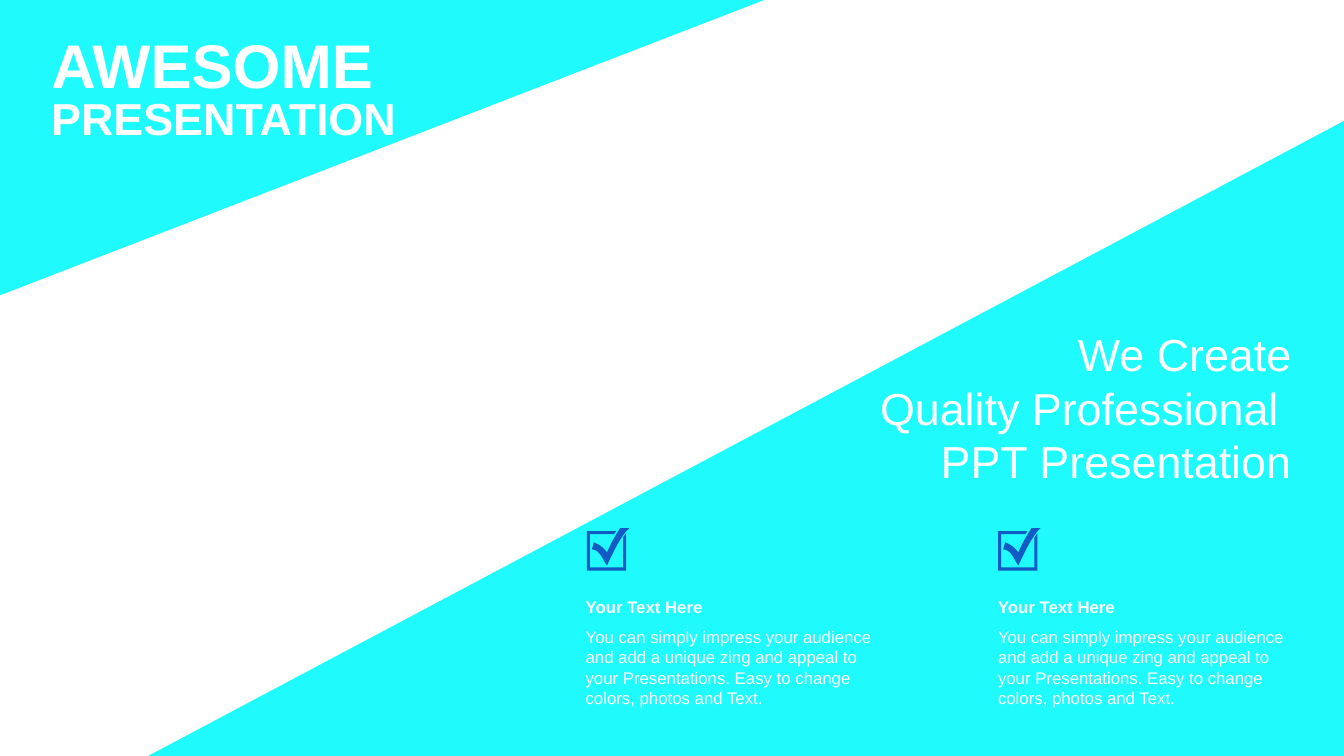
from pptx import Presentation
from pptx.dml.color import RGBColor
from pptx.enum import text
from pptx.util import Inches, Pt

CYAN = RGBColor(0x1F, 0xFB, 0xFD)
BLUE = RGBColor(0x12, 0x5A, 0xC4)
WHITE = RGBColor(0xFF, 0xFF, 0xFF)
ALIGN = text.PP_ALIGN
MIDDLE = text.MSO_ANCHOR.MIDDLE
TOP = text.MSO_ANCHOR.TOP

deck = Presentation()
deck.slide_width, deck.slide_height = Inches(13.33), Inches(7.5)
page = deck.slides.add_slide(deck.slide_layouts[5])


def draw_outline(contours, color, left=0, top=0):
    """Fill closed contours; six-number entries are cubic curves."""
    builder = None
    for contour in contours:
        points = [contour[0]]
        for step in contour[1:]:
            if len(step) == 2:
                points.append(step)
                continue
            ends = [points[-1], step[:2], step[2:4], step[4:]]
            for i in range(1, 9):
                t = i / 8
                weights = ((1 - t) ** 3, 3 * t * (1 - t) ** 2, 3 * t * t * (1 - t), t ** 3)
                points.append([sum(w * end[axis] for w, end in zip(weights, ends))
                               for axis in (0, 1)])
        corners = [(Inches(left + x), Inches(top + y)) for x, y in points]
        if builder is None:
            builder = page.shapes.build_freeform(*corners[0])
        else:
            builder.move_to(*corners[0])
        builder.add_line_segments(corners[1:], close=True)
    shape = builder.convert_to_shape()
    shape.shadow.inherit = False
    shape.fill.solid()
    shape.fill.fore_color.rgb = color
    shape.line.fill.background()


def write(box, place, lines, size, bold=False, align=ALIGN.LEFT, anchor=TOP,
          inset=(0.1, 0.05)):
    box.left, box.top, box.width, box.height = map(Inches, place)
    frame = box.text_frame
    side, edge = map(Inches, inset)
    layout = dict(word_wrap=True, auto_size=text.MSO_AUTO_SIZE.NONE,
                  vertical_anchor=anchor, margin_left=side, margin_right=side,
                  margin_top=edge, margin_bottom=edge)
    for name, value in layout.items():
        setattr(frame, name, value)
    for i, line in enumerate(lines):
        para = frame.add_paragraph() if i else frame.paragraphs[0]
        para.alignment = align
        span = para.add_run()
        span.text = line
        for name, value in dict(name="Arial", size=Pt(size), bold=bold).items():
            setattr(span.font, name, value)
        span.font.color.rgb = WHITE


# Diagonal corners
draw_outline([[(13.33, 1.2), (13.33, 7.5), (1.47, 7.5)],
              [(0, 0), (7.58, 0), (0, 2.93)]], CYAN)

# Two columns, each with a ticked box, a heading and a description
square = [(0, 0.03), (0.29, 0.03), (0.27, 0.06), (0.03, 0.06), (0.03, 0.39),
          (0.36, 0.39), (0.36, 0.09), (0.39, 0.05), (0.39, 0.42), (0, 0.42)]
tick = [(0.42, 0), (0.34, 0.07, 0.26, 0.24, 0.2, 0.37),
        (0.16, 0.32, 0.13, 0.21, 0.05, 0.21), (0.07, 0.14),
        (0.14, 0.17, 0.16, 0.19, 0.2, 0.24), (0.24, 0.15, 0.26, 0.11, 0.33, 0)]
description = ("You can simply impress your audience and add a unique zing and appeal to "
               "your Presentations. Easy to change colors, photos and Text.")
for text_left, icon_left in ((5.71, 5.82), (9.8, 9.9)):
    write(page.shapes.add_textbox(0, 0, 0, 0), (text_left, 6.17, 3.12, 0.91),
          [description], 12)
    write(page.shapes.add_textbox(0, 0, 0, 0), (text_left, 5.87, 3.1, 0.3),
          ["Your Text Here"], 12, bold=True)
    draw_outline([square, tick], BLUE, icon_left, 5.24)

# Title, brought in front of the cyan corners, and slogan
title = page.shapes.title
title.element.getparent().append(title.element)
heading = dict(bold=True, align=ALIGN.JUSTIFY, anchor=MIDDLE)
write(title, (0.41, 0.21, 3.75, 0.84), ["AWESOME"], 44, **heading)
write(page.shapes.add_textbox(0, 0, 0, 0), (0.41, 0.85, 3.75, 0.64),
      ["PRESENTATION"], 32, **heading)
write(page.shapes.add_textbox(0, 0, 0, 0), (8.48, 3.23, 4.37, 1.62),
      ["We Create", "Quality Professional ", "PPT Presentation"], 32,
      align=ALIGN.RIGHT, anchor=MIDDLE, inset=(0.04, 0))

deck.save("out.pptx")
